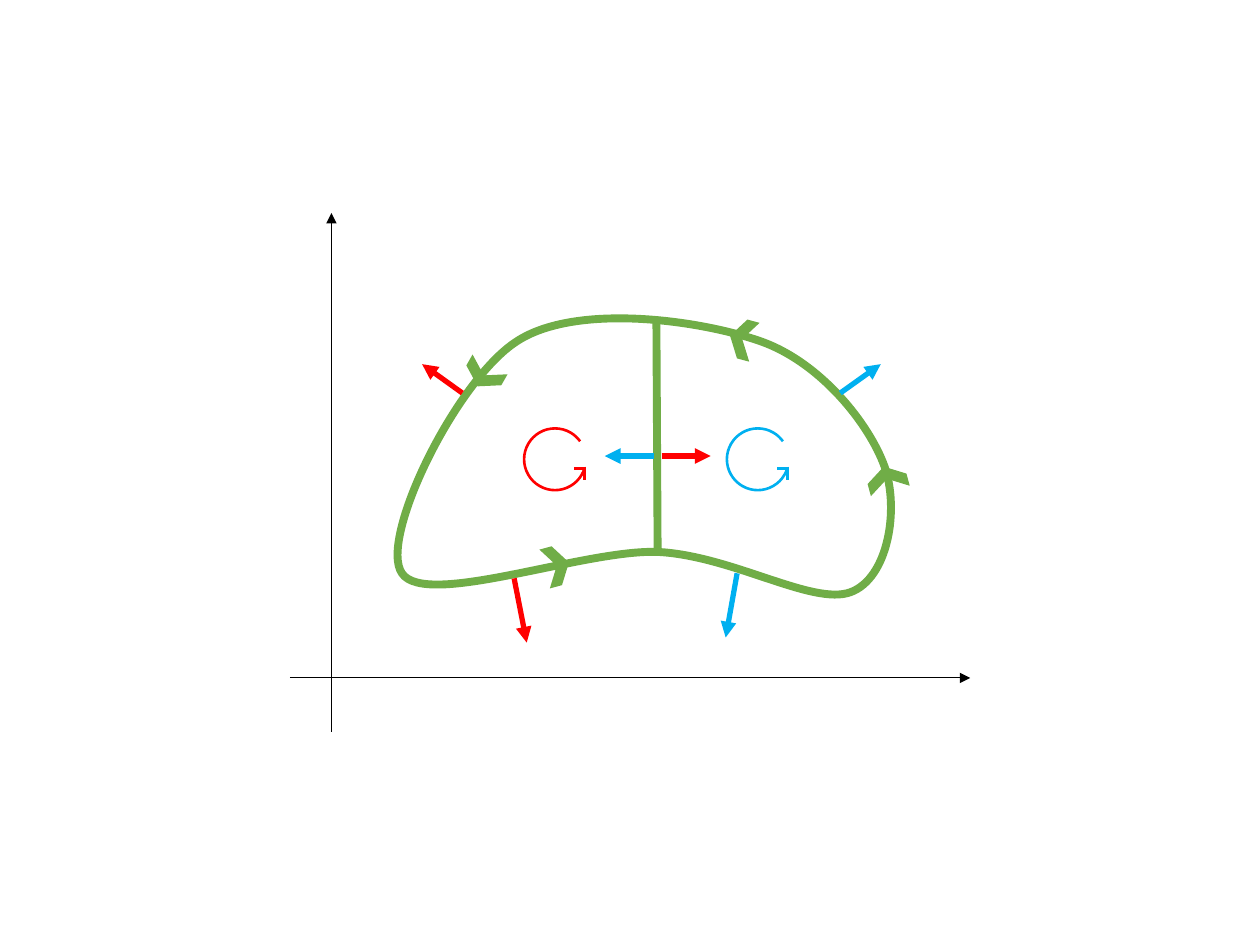
"""Draw a region split in two, with oriented boundary and outward normals."""
from dataclasses import dataclass

import lxml.etree
import pptx
import pptx.dml.color
import pptx.enum.shapes
import pptx.oxml
import pptx.oxml.ns
import pptx.util

BLACK = "000000"
GREEN = "70AD47"
RED = "FF0000"
BLUE = "00B0F0"

Point = tuple[float, float]


@dataclass
class Stroke:
    start: Point
    end: Point
    color: str
    width: float
    arrow: bool = True


@dataclass
class Chevron:
    left: float
    top: float
    rotation: float


@dataclass
class Circulation:
    left: float
    color: str


AXES = [
    Stroke((189.4, 418.3), (189.4, 121.7), BLACK, 0.5),
    Stroke((165.6, 387.4), (554.4, 387.4), BLACK, 0.5),
]
DIVIDER = Stroke((375.1, 182.2), (375.8, 315.4), GREEN, 4.5, arrow=False)
NORMALS = [
    Stroke((264.2, 224.6), (241.2, 208.1), RED, 3),
    Stroke((293.8, 330.5), (301, 367.2), RED, 3),
    Stroke((378, 260.6), (406.1, 260.6), RED, 3),
    Stroke((373.7, 260.6), (345.6, 260.6), BLUE, 3),
    Stroke((480.2, 224.6), (503.3, 208.1), BLUE, 3),
    Stroke((421.2, 327.6), (414.7, 364.3), BLUE, 3),
]
CHEVRONS = [
    Chevron(269.3, 203, 119.5),
    Chevron(311, 311.8, 345),
    Chevron(499.7, 262.1, 255),
    Chevron(416.9, 182.2, 195),
]
CIRCULATIONS = [Circulation(299.5, RED), Circulation(415.4, BLUE)]

BOUNDARY_BOX = (227.5, 182.2, 281.5, 157.7)
BOUNDARY_START = (295.2, 195.1)
BOUNDARY_CURVES = [
    ((260.6, 217.4), (216, 308.2), (229.7, 327.6)),
    ((243.4, 347.8), (333.4, 313.9), (375.8, 315.4)),
    ((418.3, 317.5), (464.4, 346.3), (486, 338.4)),
    ((507.6, 330.5), (514.1, 290.9), (505.4, 266.4)),
    ((496.8, 242.6), (469.4, 207.4), (434.9, 195.1)),
    ((400.3, 182.9), (329, 172.8), BOUNDARY_START),
]


def points(*values: float) -> list[pptx.util.Length]:
    return [pptx.util.Pt(value) for value in values]


def rgb(color: str) -> pptx.dml.color.RGBColor:
    return pptx.dml.color.RGBColor.from_string(color)


def add_element(parent, tag: str, **attributes: str):
    return lxml.etree.SubElement(parent, pptx.oxml.ns.qn(tag), attributes)


def format_line(shape, color: str, width: float) -> None:
    shape.line.color.rgb = rgb(color)
    shape.line.width = pptx.util.Pt(width)


def draw_stroke(shapes, stroke: Stroke) -> None:
    connector = shapes.add_connector(
        pptx.enum.shapes.MSO_CONNECTOR.STRAIGHT, *points(*stroke.start, *stroke.end)
    )
    format_line(connector, stroke.color, stroke.width)
    properties = connector._element.spPr
    if stroke.arrow:
        add_element(connector.line._get_or_add_ln(), "a:tailEnd", type="triangle")
    add_element(properties, "a:effectLst")


def draw_boundary(shapes) -> None:
    anchors = [curve[-1] for curve in BOUNDARY_CURVES]
    builder = shapes.build_freeform(*points(*BOUNDARY_START))
    builder.add_line_segments([points(*anchor) for anchor in anchors], close=True)
    boundary = builder.convert_to_shape()
    boundary.shadow.inherit = False
    boundary.fill.background()
    format_line(boundary, GREEN, 4.5)
    left, top, width, height = points(*BOUNDARY_BOX)
    boundary.left, boundary.top = left, top
    boundary.width, boundary.height = width, height

    outline = boundary._element.find(".//" + pptx.oxml.ns.qn("a:path"))
    outline.clear()
    outline.set("w", str(width))
    outline.set("h", str(height))
    segments = [("a:moveTo", [BOUNDARY_START])]
    segments += [("a:cubicBezTo", curve) for curve in BOUNDARY_CURVES]
    for tag, corners in segments:
        segment = add_element(outline, tag)
        for corner in corners:
            x, y = points(*corner)
            add_element(segment, "a:pt", x=str(x - left), y=str(y - top))
    add_element(outline, "a:close")


def draw_chevron(shapes, chevron: Chevron) -> None:
    shape = shapes.add_shape(
        pptx.enum.shapes.MSO_SHAPE.CHEVRON,
        *points(chevron.left, chevron.top, 14.4, 23),
    )
    shape.rotation = chevron.rotation
    shape.shadow.inherit = False
    shape.fill.solid()
    shape.fill.fore_color.rgb = rgb(GREEN)
    shape.line.fill.background()


def draw_circulation(shapes, circulation: Circulation) -> None:
    left, top, size = circulation.left, 244.8, 35.3
    group = shapes.add_group_shape()
    arc = group.shapes.add_shape(
        pptx.enum.shapes.MSO_SHAPE.ARC, *points(left, top, size, size)
    )
    arc.adjustments[0] = 10.42
    arc.adjustments[1] = 194.62
    arc.shadow.inherit = False
    arc.fill.background()
    format_line(arc, circulation.color, 1.5)
    tip = left + 34.6
    for start, end in [
        ((tip, top + 23), (tip - 5.8, top + 23)),
        ((tip, top + 21.9), (tip, top + 29.5)),
    ]:
        draw_stroke(group.shapes, Stroke(start, end, circulation.color, 1.5, False))


def main() -> None:
    deck = pptx.Presentation()
    deck.slide_width, deck.slide_height = points(720, 540)
    page = deck.slides.add_slide(deck.slide_layouts[6])
    for axis in AXES:
        draw_stroke(page.shapes, axis)
    draw_boundary(page.shapes)
    for chevron in CHEVRONS:
        draw_chevron(page.shapes, chevron)
    draw_stroke(page.shapes, DIVIDER)
    for circulation in CIRCULATIONS:
        draw_circulation(page.shapes, circulation)
    for normal in NORMALS:
        draw_stroke(page.shapes, normal)
    deck.save("out.pptx")


if __name__ == "__main__":
    main()
